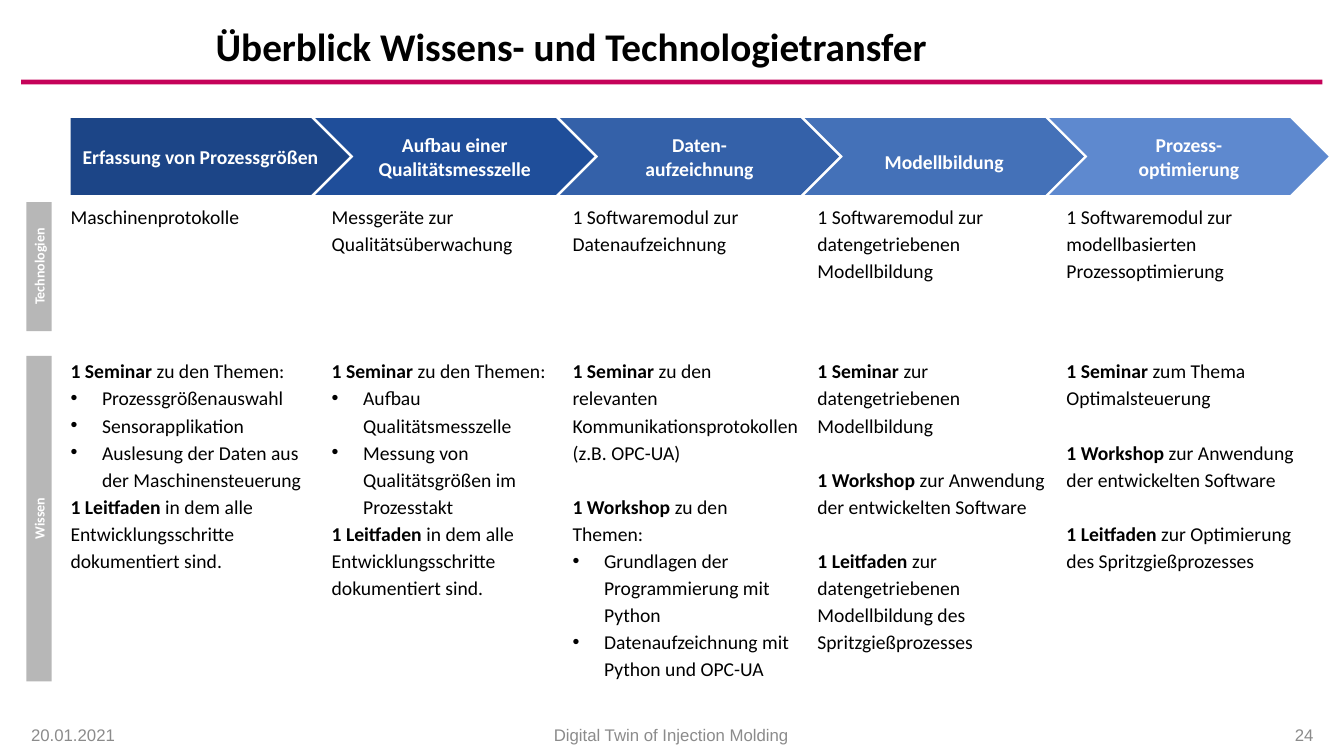
from dataclasses import dataclass

from lxml import etree
from pptx import Presentation
from pptx.dml.color import RGBColor
from pptx.enum.shapes import MSO_SHAPE
from pptx.enum.text import MSO_ANCHOR, MSO_AUTO_SIZE, PP_ALIGN
from pptx.oxml.ns import qn
from pptx.util import Pt

LEFT, CENTER, RIGHT = PP_ALIGN.LEFT, PP_ALIGN.CENTER, PP_ALIGN.RIGHT
TOP, MIDDLE = MSO_ANCHOR.TOP, MSO_ANCHOR.MIDDLE
RECT, PENTAGON, CHEVRON = MSO_SHAPE.RECTANGLE, MSO_SHAPE.PENTAGON, MSO_SHAPE.CHEVRON

BLACK, WHITE, GREY, FOOTER_GREY, MAGENTA = "000000", "FFFFFF", "B7B7B7", "8B8B8B", "C50259"
STEP_LEFT, STEP_PITCH = 50.4, 174.8
TECH_TOP, KNOWLEDGE_TOP = 144, 254.2
LINE_SPACING, LINE_GAP, INDENT = 1.15, 19.3, 22.5


@dataclass
class Para:
    text: str
    bold: str = ""
    bullet: bool = False
    gap: bool = False


@dataclass
class Step:
    title: str
    color: str
    left: float
    width: float
    technology: str
    knowledge: list[Para]
    inset_top: float = 7.2


@dataclass
class SideLabel:
    text: str
    top: float
    length: float


@dataclass
class Footer:
    text: str
    left: float
    width: float
    align: PP_ALIGN


GUIDE = Para("in dem alle Entwicklungsschritte dokumentiert sind.", "1 Leitfaden ")
TRAINING = Para("zur Anwendung der entwickelten Software", "1 Workshop ", gap=True)

STEPS = [
    Step("Erfassung von Prozessgrößen", "1C4587", 50.4, 175, "Maschinenprotokolle", [
        Para("zu den Themen:", "1 Seminar "),
        Para("Prozessgrößenauswahl", bullet=True),
        Para("Sensorapplikation", bullet=True),
        Para("Auslesung der Daten aus der Maschinensteuerung", bullet=True),
        GUIDE]),
    Step("Aufbau einer Qualitätsmesszelle", "1F4E9A", 236.9, 159.8,
         "Messgeräte zur Qualitätsüberwachung", [
             Para("zu den Themen:", "1 Seminar "),
             Para("Aufbau Qualitätsmesszelle", bullet=True),
             Para("Messung von Qualitätsgrößen im Prozesstakt", bullet=True),
             GUIDE]),
    Step("Daten-\vaufzeichnung", "3461A9", 409, 162.7,
         "1 Softwaremodul zur Datenaufzeichnung", [
             Para("zu den relevanten Kommunikationsprotokollen (z.B. OPC-UA)", "1 Seminar "),
             Para("zu den Themen:", "1 Workshop ", gap=True),
             Para("Grundlagen der Programmierung mit Python", bullet=True),
             Para("Datenaufzeichnung mit Python und OPC-UA", bullet=True)]),
    Step("Modellbildung", "4471B8", 583.9, 165.6,
         "1 Softwaremodul zur datengetriebenen Modellbildung", [
             Para("zur datengetriebenen Modellbildung", "1 Seminar "),
             TRAINING,
             Para("zur datengetriebenen Modellbildung des Spritzgießprozesses",
                  "1 Leitfaden ", gap=True)], inset_top=14.4),
    Step("Prozess-\voptimierung", "5E89CF", 761.8, 165.6,
         "1 Softwaremodul zur modellbasierten Prozessoptimierung", [
             Para("zum Thema Optimalsteuerung", "1 Seminar "),
             TRAINING,
             Para("zur Optimierung des Spritzgießprozesses", "1 Leitfaden ", gap=True)]),
]
SIDE_LABELS = [SideLabel("Technologien", 144.3, 92.2), SideLabel("Wissen", 254.1, 232.6)]
FOOTERS = [
    Footer("20.01.2021", 15.1, 153.4, LEFT),
    Footer("Digital Twin of Injection Molding", 173.5, 612, CENTER),
    Footer("24", 792, 153.4, RIGHT),
]


def rgb(color: str) -> RGBColor:
    return RGBColor.from_string(color)


def style_paragraph(p, size: float, color: str, bold: bool = False,
                    align: PP_ALIGN = LEFT, font: str = "Calibri") -> None:
    p.alignment = align
    for r in p.runs:
        r.font.name, r.font.size, r.font.bold = font, Pt(size), bold
        r.font.color.rgb = rgb(color)


def set_frame(tf, anchor: MSO_ANCHOR, insets: tuple = (0, 0, 0, 0)) -> None:
    tf.word_wrap = True
    tf.auto_size = MSO_AUTO_SIZE.NONE
    tf.vertical_anchor = anchor
    tf.margin_left, tf.margin_top, tf.margin_right, tf.margin_bottom = map(Pt, insets)


def add_block(slide, kind: MSO_SHAPE, left: float, top: float, width: float,
              height: float, color: str):
    sp = slide.shapes.add_shape(kind, Pt(left), Pt(top), Pt(width), Pt(height))
    sp.shadow.inherit = False
    sp.fill.solid()
    sp.fill.fore_color.rgb = rgb(color)
    sp.line.fill.background()
    return sp


def label_block(sp, text: str, size: float, insets: tuple) -> None:
    set_frame(sp.text_frame, MIDDLE, insets)
    sp.text_frame.text = text
    style_paragraph(sp.text_frame.paragraphs[0], size, WHITE, True, CENTER)


def add_bullet(p) -> None:
    props = p._p.get_or_add_pPr()
    props.set("marL", str(Pt(INDENT)))
    props.set("indent", str(-Pt(INDENT)))
    etree.SubElement(props, qn("a:buFont")).set("typeface", "Arial")
    etree.SubElement(props, qn("a:buChar")).set("char", "•")


def add_paragraphs(slide, left: float, top: float, width: float, height: float,
                   paras: list[Para]) -> None:
    box = slide.shapes.add_textbox(Pt(left), Pt(top), Pt(width), Pt(height))
    tf = box.text_frame
    set_frame(tf, TOP)
    for i, para in enumerate(paras):
        p = tf.add_paragraph() if i else tf.paragraphs[0]
        p.text = para.bold
        p.add_run().text = para.text
        style_paragraph(p, 14, BLACK)
        if para.bold:
            p.runs[0].font.bold = True
        p.line_spacing = LINE_SPACING
        if para.gap:
            p.space_before = Pt(LINE_GAP)
        if para.bullet:
            add_bullet(p)


def add_step(slide, index: int, step: Step) -> None:
    kind, side = (CHEVRON, 0) if index else (PENTAGON, 7.2)
    arrow = add_block(slide, kind, STEP_LEFT + index * STEP_PITCH, 84.4, 199.4, 54.8, step.color)
    label_block(arrow, step.title, 14, (side, step.inset_top, side, 7.2))
    add_paragraphs(slide, step.left, TECH_TOP, step.width, 96.5, [Para(step.technology)])
    add_paragraphs(slide, step.left, KNOWLEDGE_TOP, step.width, 232.6, step.knowledge)


def add_side_label(slide, label: SideLabel) -> None:
    center_x, thickness = 27.9, 18
    top = label.top + (label.length - thickness) / 2
    sp = add_block(slide, RECT, center_x - label.length / 2, top, label.length, thickness, GREY)
    sp.rotation = 270
    label_block(sp, label.text, 10, (0, 7.2, 0, 7.2))


def add_footer(slide, footer: Footer) -> None:
    box = slide.shapes.add_textbox(Pt(footer.left), Pt(511.2), Pt(footer.width), Pt(28))
    set_frame(box.text_frame, MIDDLE, (7.2, 3.6, 7.2, 3.6))
    box.text_frame.text = footer.text
    style_paragraph(box.text_frame.paragraphs[0], 12, FOOTER_GREY, False, footer.align, "Arial")


def main() -> None:
    prs = Presentation()
    prs.slide_width, prs.slide_height = Pt(960), Pt(540)
    slide = prs.slides.add_slide(prs.slide_layouts[5])

    # Title and rule
    title = slide.shapes.title
    title.left, title.top, title.width, title.height = Pt(146.9), Pt(15.1), Pt(797.8), Pt(39.6)
    set_frame(title.text_frame, MIDDLE, (7.2, 3.6, 7.2, 3.6))
    title.text_frame.text = "Überblick Wissens- und Technologietransfer"
    style_paragraph(title.text_frame.paragraphs[0], 28, BLACK, True)
    title.text_frame.paragraphs[0].line_spacing = 0.9
    add_block(slide, RECT, 15.1, 56.9, 929.5, 3.4, MAGENTA)

    # Process steps with their technologies and knowledge
    for index, step in enumerate(STEPS):
        add_step(slide, index, step)

    # Row labels and footer
    for label in SIDE_LABELS:
        add_side_label(slide, label)
    for footer in FOOTERS:
        add_footer(slide, footer)

    prs.save("out.pptx")


if __name__ == "__main__":
    main()
